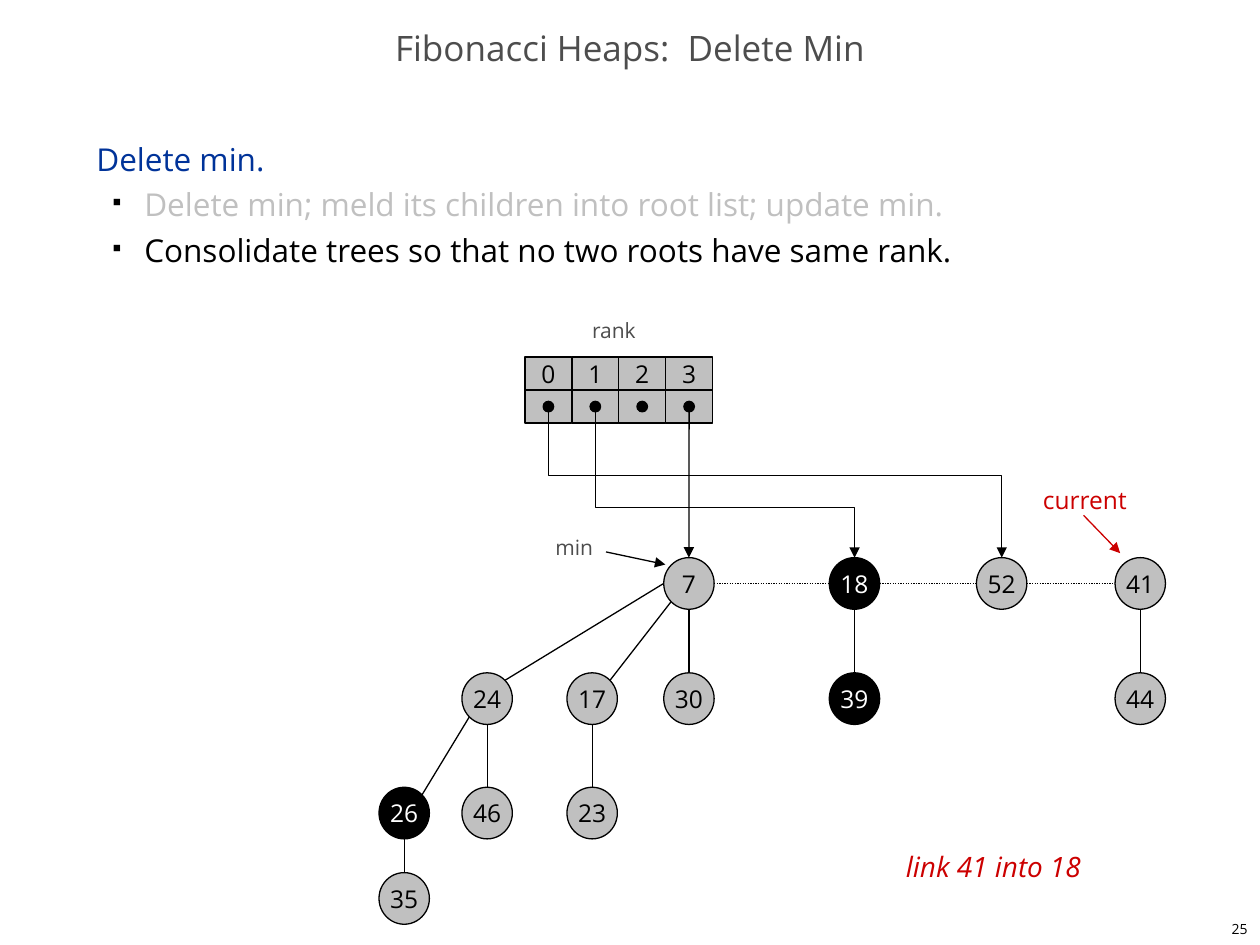
from dataclasses import dataclass
from math import cos, radians, sin

from lxml.etree import SubElement
from pptx import Presentation
from pptx.dml.color import RGBColor
from pptx.enum.dml import MSO_LINE
from pptx.enum.shapes import MSO_CONNECTOR as Link, MSO_SHAPE as Preset
from pptx.enum.text import MSO_ANCHOR as Anchor, MSO_AUTO_SIZE as AutoSize, PP_ALIGN as Align
from pptx.oxml.ns import qn
from pptx.util import Pt

BLACK = RGBColor(0x00, 0x00, 0x00)
WHITE = RGBColor(0xFF, 0xFF, 0xFF)
SILVER = RGBColor(0xC0, 0xC0, 0xC0)
DARK_GRAY = RGBColor(0x4D, 0x4D, 0x4D)
NAVY = RGBColor(0x00, 0x33, 0x99)
RED = RGBColor(0xCC, 0x00, 0x00)
FONT = "Open Sans"
LINE_WIDTH = Pt(0.75)

# Heap geometry, in points
NODE_W, NODE_H = 28.8, 29.5
LEVELS = (333.4, 399.2, 464.6, 513.4)
CELL_W, CELL_H = 26.8, 18.9
TABLE_LEFT, TABLE_TOP = 300, 204
DOT = 6

# Directions on a node's outline, in degrees clockwise from the right
RIGHT, BOTTOM, BOTTOM_LEFT, LEFT, TOP, TOP_RIGHT = 0, 90, 135, 180, 270, 315


@dataclass(frozen=True)
class Node:
    key: int
    x: float
    level: int
    marked: bool = False

    def site(self, angle: int) -> tuple[float, float]:
        """Point on the outline in the given direction."""
        return (self.x + NODE_W / 2 * cos(radians(angle)),
                LEVELS[self.level] + NODE_H / 2 * sin(radians(angle)))


@dataclass(frozen=True)
class Edge:
    parent: int
    child: int
    leaves: int = BOTTOM
    enters: int = TOP


@dataclass(frozen=True)
class Label:
    text: str
    box: tuple[float, float, float, float]
    size: float
    color: RGBColor
    align: Align = Align.LEFT
    italic: bool = False


NODES = {node.key: node for node in (
    Node(7, 393.7, 0), Node(18, 488.3, 0, True), Node(52, 572.4, 0), Node(41, 651.6, 0),
    Node(24, 278.4, 1), Node(17, 338.4, 1), Node(30, 393.7, 1),
    Node(39, 488.3, 1, True), Node(44, 651.6, 1),
    Node(26, 231, 2, True), Node(46, 278.4, 2), Node(23, 338.4, 2), Node(35, 231, 3),
)}
ROOTS = (7, 18, 52, 41)
EDGES = (
    Edge(7, 24, LEFT, TOP_RIGHT), Edge(7, 17, BOTTOM_LEFT, TOP_RIGHT), Edge(7, 30),
    Edge(18, 39), Edge(41, 44), Edge(24, 26, BOTTOM_LEFT, TOP_RIGHT),
    Edge(24, 46), Edge(17, 23), Edge(26, 35),
)
LABELS = (
    Label("rank", (331.2, 177.8, 41.8, 21.6), 12, DARK_GRAY),
    Label("min", (310.3, 301.7, 36.7, 21.6), 12, DARK_GRAY),
    Label("current", (584.9, 271, 70, 29.5), 14, RED, Align.CENTER),
    Label("link 41 into 18", (510.5, 481.7, 128.2, 26.6), 16, RED, italic=True),
    Label("25", (570.2, 522, 149.8, 18), 8, BLACK, Align.RIGHT),
)
STEPS = (
    ("Delete min; meld its children into root list; update min.", SILVER),
    ("Consolidate trees so that no two roots have same rank.", BLACK),
)


def style(paragraph, size: float, color: RGBColor, align: Align = Align.LEFT) -> None:
    paragraph.alignment = align
    paragraph.font.name = FONT
    paragraph.font.size = Pt(size)
    paragraph.font.color.rgb = color


def draw_shape(shapes, preset: Preset, box: tuple, fill: RGBColor, text: str = "") -> None:
    shape = shapes.add_shape(preset, *map(Pt, box))
    shape.shadow.inherit = False
    shape.fill.solid()
    shape.fill.fore_color.rgb = fill
    shape.line.color.rgb = BLACK
    shape.line.width = LINE_WIDTH
    if text:
        frame = shape.text_frame
        frame.word_wrap = False
        frame.vertical_anchor = Anchor.MIDDLE
        frame.text = text
        style(frame.paragraphs[0], 14, WHITE if fill == BLACK else BLACK, Align.CENTER)


def draw_line(shapes, start: tuple, end: tuple, color: RGBColor = BLACK,
              arrow: bool = False, dotted: bool = False, kind: Link = Link.STRAIGHT):
    line = shapes.add_connector(kind, *map(Pt, (*start, *end)))
    line.line.color.rgb = color
    line.line.width = LINE_WIDTH
    if dotted:
        line.line.dash_style = MSO_LINE.ROUND_DOT
    properties = line.element.spPr
    if arrow:
        SubElement(properties.find(qn("a:ln")), qn("a:tailEnd"), type="triangle")
    SubElement(properties, qn("a:effectLst"))
    return line


def draw_elbow(shapes, start: tuple, end: tuple, bend: float) -> None:
    """Arrow that goes down, across and down; bend is the first leg's share."""
    (x1, y1), (x2, y2) = start, end
    x, y = (x1 + x2) / 2, (y1 + y2) / 2
    half_w, half_h = (y2 - y1) / 2, (x2 - x1) / 2
    elbow = draw_line(shapes, (x - half_w, y - half_h), (x + half_w, y + half_h),
                      arrow=True, kind=Link.ELBOW)
    properties = elbow.element.spPr
    frame = properties.find(qn("a:xfrm"))
    frame.set("rot", "16200000")
    frame.set("flipH", "1")
    adjustments = properties.find(qn("a:prstGeom")).find(qn("a:avLst"))
    SubElement(adjustments, qn("a:gd"), name="adj1", fmla=f"val {round(bend * 100000)}")


def draw_label(shapes, label: Label) -> None:
    frame = shapes.add_textbox(*map(Pt, label.box)).text_frame
    frame.word_wrap = False
    frame.vertical_anchor = Anchor.MIDDLE
    frame.text = label.text
    style(frame.paragraphs[0], label.size, label.color, label.align)
    frame.paragraphs[0].font.italic = label.italic


def draw_heading(shapes) -> None:
    title = shapes.title
    title.left, title.top, title.width, title.height = map(Pt, (0, 12, 720, 36))
    frame = title.text_frame
    frame.auto_size = AutoSize.NONE
    frame.vertical_anchor = Anchor.MIDDLE
    frame.text = "Fibonacci Heaps:  Delete Min"
    style(frame.paragraphs[0], 20, DARK_GRAY, Align.CENTER)
    frame.paragraphs[0].line_spacing = 0.7


def draw_steps(shapes) -> None:
    frame = shapes.add_textbox(Pt(48), Pt(72), Pt(618), Pt(426)).text_frame
    frame.word_wrap = True
    frame.text = "Delete min."
    style(frame.paragraphs[0], 18, NAVY)
    for text, color in STEPS:
        step = frame.add_paragraph()
        step.text = text
        style(step, 18, color)
        properties = step._p.get_or_add_pPr()
        properties.set("marL", str(Pt(27.4)))
        properties.set("indent", str(Pt(-18)))
        bullet_color = properties.makeelement(qn("a:buClr"))
        SubElement(bullet_color, qn("a:srgbClr"), val=str(BLACK))
        bullet_size = properties.makeelement(qn("a:buSzPct"), val="35000")
        bullet = properties.makeelement(qn("a:buChar"), char="■")
        for part in (bullet_color, bullet_size, bullet):
            properties.find(qn("a:defRPr")).addprevious(part)
    for paragraph in frame.paragraphs:
        paragraph.line_spacing = Pt(26)


def draw_heap(shapes) -> None:
    for left, right in zip(ROOTS, ROOTS[1:]):
        draw_line(shapes, NODES[left].site(RIGHT), NODES[right].site(LEFT), dotted=True)
    for edge in EDGES:
        draw_line(shapes, NODES[edge.parent].site(edge.leaves),
                  NODES[edge.child].site(edge.enters))
    for node in NODES.values():
        box = (node.x - NODE_W / 2, LEVELS[node.level] - NODE_H / 2, NODE_W, NODE_H)
        draw_shape(shapes, Preset.OVAL, box, BLACK if node.marked else SILVER, str(node.key))


def draw_ranks(shapes) -> None:
    centers = [TABLE_LEFT + CELL_W * (rank + 0.5) for rank in range(4)]
    dot_y = TABLE_TOP + CELL_H * 1.5
    for rank, x in enumerate(centers):
        for row, text in enumerate((str(rank), "")):
            box = (x - CELL_W / 2, TABLE_TOP + row * CELL_H, CELL_W, CELL_H)
            draw_shape(shapes, Preset.RECTANGLE, box, SILVER, text)
        draw_shape(shapes, Preset.OVAL, (x - DOT / 2, dot_y - DOT / 2, DOT, DOT), BLACK)
    # Pointers from ranks to roots
    below = dot_y + DOT / 2
    draw_elbow(shapes, (centers[0], below), NODES[52].site(TOP), 0.435)
    draw_elbow(shapes, (centers[1], below), NODES[18].site(TOP), 0.654)
    draw_line(shapes, (centers[3], below), NODES[7].site(TOP), arrow=True)


def main() -> None:
    deck = Presentation()
    deck.slide_width, deck.slide_height = Pt(720), Pt(540)
    shapes = deck.slides.add_slide(deck.slide_layouts[5]).shapes
    draw_heading(shapes)
    draw_steps(shapes)
    draw_heap(shapes)
    draw_ranks(shapes)
    for label in LABELS:
        draw_label(shapes, label)
    # Arrows from the "min" and "current" labels
    draw_line(shapes, (346.3, 315.4), (380.2, 322.6), arrow=True)
    draw_line(shapes, (619.2, 294.5), (640.1, 316.1), RED, arrow=True)
    deck.save("out.pptx")


if __name__ == "__main__":
    main()
